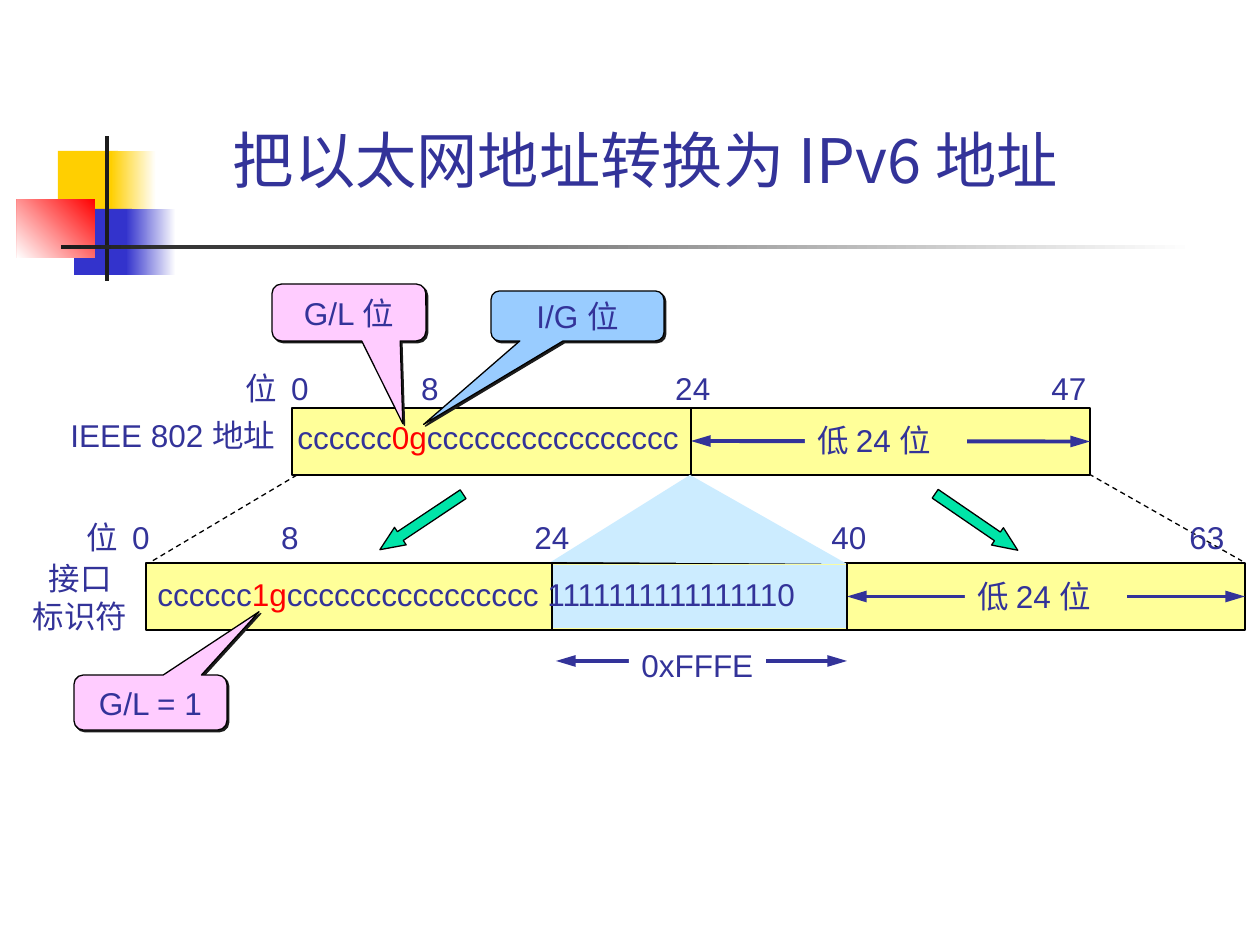
"""Builds the slide on turning an Ethernet address into an IPv6 address."""
from lxml import etree
from pptx import Presentation
from pptx import util as u
from pptx.dml.color import RGBColor
from pptx.enum import dml, shapes, text
from pptx.oxml import ns

PX = 914400 / 126
LATIN, HAN = "Arial", "Noto Sans CJK SC"
INDIGO = RGBColor(0x33, 0x33, 0x99)
BLUE = RGBColor(0x33, 0x33, 0xCC)
RED = RGBColor(0xFF, 0x00, 0x00)
GOLD = RGBColor(0xFF, 0xCF, 0x01)
INK = RGBColor(0x1C, 0x1C, 0x1C)
BLACK = RGBColor(0x00, 0x00, 0x00)
WHITE = RGBColor(0xFF, 0xFF, 0xFF)
CREAM = RGBColor(0xFF, 0xFF, 0x99)
ICE = RGBColor(0xCC, 0xEC, 0xFF)
SKY = RGBColor(0x99, 0xCC, 0xFF)
PINK = RGBColor(0xFF, 0xCC, 0xFF)
GREEN = RGBColor(0x00, 0xE4, 0xA8)
LEFT, CENTER = text.PP_ALIGN.LEFT, text.PP_ALIGN.CENTER


def px(*lengths):
    return [u.Emu(round(length * PX)) for length in lengths]


def add_xml(parent, tag, **values):
    return etree.SubElement(parent, ns.qn(tag), values)


class Painter:
    """Holds the text style and the current slide."""

    def __init__(self, page, size=18, color=INDIGO):
        self.page, self.size, self.color = page, size, color

    def fill_text(self, box, lines, align=LEFT, size=None, latin=LATIN, tabs=(), **frame_format):
        frame = box.text_frame
        for name, value in frame_format.items():
            setattr(frame, name, value)
        for index, line in enumerate(lines):
            para = frame.add_paragraph() if index else frame.paragraphs[0]
            para.alignment = align
            if tabs:
                stops = add_xml(para._p.get_or_add_pPr(), "a:tabLst")
                for stop in px(*tabs):
                    add_xml(stops, "a:tab", pos=str(stop), algn="ctr")
            for words, color in line:
                span = para.add_run()
                span.text = words
                style = {"name": latin, "size": u.Pt(size or self.size)}
                for name, value in style.items():
                    setattr(span.font, name, value)
                span.font.color.rgb = color or self.color
                add_xml(span._r.get_or_add_rPr(), "a:ea", typeface=HAN)

    def title(self, words, *place):
        box = self.page.shapes.title
        for name, value in zip(("left", "top", "width", "height"), px(*place)):
            setattr(box, name, value)
        self.fill_text(box, [[(words, None)]], CENTER, 35, HAN, word_wrap=True,
                       auto_size=text.MSO_AUTO_SIZE.NONE, margin_right=px(28)[0],
                       vertical_anchor=text.MSO_ANCHOR.BOTTOM)

    def paint(self, shape, fill, line=None):
        shape.fill.solid()
        shape.fill.fore_color.rgb = fill
        if line:
            shape.line.color.rgb, shape.line.width = BLACK, u.Pt(line)
        else:
            shape.line.fill.background()
        shape.shadow.inherit = False
        return shape

    def shape(self, place, fill, line=None, kind=shapes.MSO_SHAPE.RECTANGLE, adjust=(), turn=0):
        shape = self.page.shapes.add_shape(kind, *px(*place))
        for index, value in enumerate(adjust):
            shape.adjustments[index] = value
        shape.rotation = turn
        return self.paint(shape, fill, line)

    def fade(self, place, first, last, angle):
        fill = self.shape(place, first).fill
        fill.gradient()
        fill.gradient_angle = angle
        for stop, color in zip(fill.gradient_stops, (first, last)):
            stop.color.rgb = color

    def triangle(self, start, *corners):
        builder = self.page.shapes.build_freeform(*start, scale=PX)
        builder.add_line_segments(corners, close=True)
        self.paint(builder.convert_to_shape(), ICE)

    def label(self, place, *lines, align=LEFT, fill=None):
        box = self.page.shapes.add_textbox(*px(*place))
        if fill:
            box.fill.solid()
            box.fill.fore_color.rgb = fill
        self.fill_text(box, lines, align, word_wrap=False,
                       auto_size=text.MSO_AUTO_SIZE.SHAPE_TO_FIT_TEXT)

    def scale(self, left, top, width, ticks):
        box = self.page.shapes.add_textbox(*px(left, top, width, 50))
        words = "\t".join(["位", *map(str, ticks)])
        tabs = [center - left - 12.6 for center in ticks.values()]
        self.fill_text(box, [[(words, None)]], tabs=tabs, word_wrap=True)

    def callout(self, place, words, fill, adjust):
        shape = self.shape(place, fill, 0.75, shapes.MSO_SHAPE.ROUNDED_RECTANGULAR_CALLOUT, adjust)
        effects = shape._element.spPr.find(ns.qn("a:effectLst"))
        shadow = add_xml(effects, "a:outerShdw", dist="18000", dir="2700000",
                         algn="tl", rotWithShape="0")
        add_xml(shadow, "a:srgbClr", val=str(INK))
        self.fill_text(shape, [[(words, None)]], CENTER, word_wrap=True,
                       vertical_anchor=text.MSO_ANCHOR.MIDDLE)

    def line(self, ends, color=BLACK, width=0.75, dashed=False, arrows=False, begin=None, end=None):
        wire = self.page.shapes.add_connector(shapes.MSO_CONNECTOR.STRAIGHT, *px(*ends))
        wire.line.color.rgb, wire.line.width = color, u.Pt(width)
        if dashed:
            wire.line.dash_style = dml.MSO_LINE.DASH
        if arrows:
            for tag in ("a:headEnd", "a:tailEnd"):
                add_xml(wire.line._get_or_add_ln(), tag, type="triangle", w="med", len="lg")
        add_xml(wire._element.spPr, "a:effectLst")
        if begin:
            wire.begin_connect(*begin)
        if end:
            wire.end_connect(*end)

    def span_arrow(self, ends, **joins):
        self.line(ends, INDIGO, 2.25, arrows=True, **joins)


def draw_ornament(art):
    art.shape((58, 151, 60, 66), GOLD)
    art.fade((111, 151, 45, 66), WHITE, GOLD, 180)
    art.shape((74, 209, 58, 66), BLUE)
    art.fade((126, 209, 50, 66), WHITE, BLUE, 180)
    art.fade((17, 199, 78, 59), RED, WHITE, 225)
    art.shape((105, 136, 4, 145), INK)
    art.fade((61, 245, 1134, 4), WHITE, INK, 180)


def draw_addresses(art):
    ethernet = art.shape((292, 408, 798, 67), CREAM, 0.75)
    interface = art.shape((146, 563, 1099, 67), CREAM, 1.5)
    inserted = art.shape((553, 565, 294, 63), ICE)
    art.triangle((690, 475), (551, 562), (847, 564))

    art.span_arrow((556, 661, 847, 661))
    art.label((629, 640, 137, 50), [("0xFFFE", None)], fill=WHITE)
    art.span_arrow((691, 441, 1090, 441), end=(ethernet, 3))
    art.span_arrow((847, 596, 1245, 596), begin=(inserted, 3), end=(interface, 3))
    for left, top in ((805, 415), (965, 571)):
        art.label((left, top, 162, 50), [("低 24 位", None)], fill=CREAM)

    art.line((691, 408, 691, 475), begin=(ethernet, 0), end=(ethernet, 2))
    for x in (552, 847):
        art.line((x, 563, x, 630))
    for ends in ((1089, 474, 1242, 561), (297, 475, 149, 563)):
        art.line(ends, dashed=True)

    tail = "c" * 16
    art.label((285, 412, 407, 50), [("c" * 6, None), ("0g", RED), (tail, None)])
    art.label((145, 569, 695, 50),
              [("c" * 6, None), ("1g", RED), (tail + " " + "1" * 15 + "0", None)])
    art.scale(233, 363, 881, {0: 300, 8: 430, 24: 693, 47: 1069})
    art.scale(74, 512, 1178, {0: 141, 8: 290, 24: 552, 40: 849, 63: 1207})
    art.label((58, 410, 237, 50), [("IEEE 802 地址", None)])
    art.label((20, 553, 120, 88), [("接口", None)], [("标识符", None)], align=CENTER)


def draw_notes(art):
    for left, turn in ((411, 56.3), (966, 304.4)):
        art.shape((left, 472, 21, 100), GREEN, 0.75, shapes.MSO_SHAPE.DOWN_ARROW,
                  (0.5, 1.17), turn)
    art.callout((491, 291, 173, 50), "I/G 位", SKY, (-0.89, 2.17, 0.17))
    art.callout((272, 284, 154, 57), "G/L 位", PINK, (0.35, 1.95, 0.17))
    art.callout((74, 675, 153, 55), "G/L = 1", PINK, (0.71, -1.65, 0.17))


def main():
    deck = Presentation()
    deck.slide_width, deck.slide_height = px(1260, 945)
    art = Painter(deck.slides.add_slide(deck.slide_layouts[5]))
    draw_ornament(art)
    art.title("把以太网地址转换为 IPv6 地址", 159, 86, 988, 116)
    draw_addresses(art)
    draw_notes(art)
    deck.save("out.pptx")


if __name__ == "__main__":
    main()
